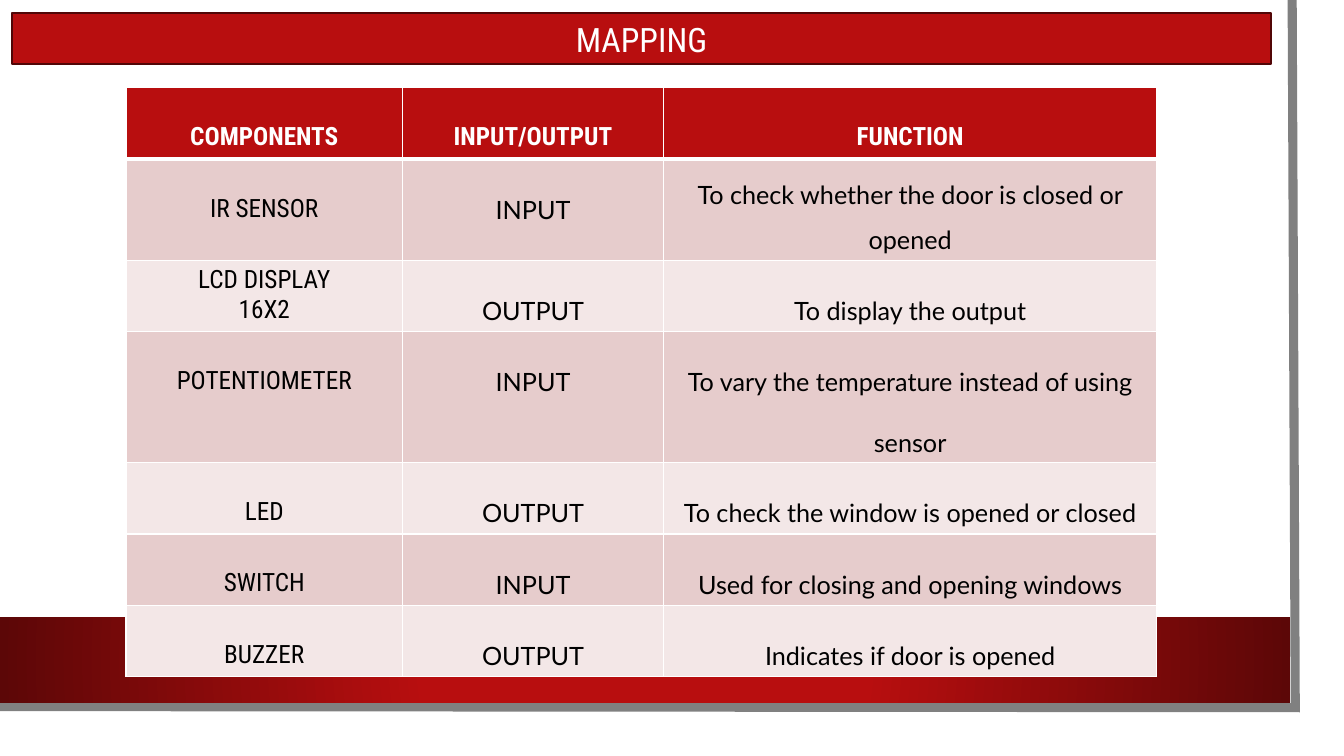
from lxml import etree
from pptx import Presentation, util as u
from pptx.dml.color import RGBColor
from pptx.enum import shapes, text
from pptx.oxml import ns, parse_xml

COLORS = {
    "red": "B80E0F",
    "dark_red": "5C0707",
    "outline": "510607",
    "edge": "808080",
    "rose": "E6CCCC",
    "pale": "F3E7E7",
    "white": "FFFFFF",
    "black": "000000",
}
HEADING_FONT = "Roboto Condensed"
BODY_FONT = "Lato"
NAMESPACE = ns.nsdecls("a")


def add_rectangle(slide, left, top, width, height, fill=None):
    shape = slide.shapes.add_shape(
        shapes.MSO_SHAPE.RECTANGLE, u.Pt(left), u.Pt(top), u.Pt(width), u.Pt(height)
    )
    shape.shadow.inherit = False
    shape.line.fill.background()
    if fill:
        shape.fill.solid()
        shape.fill.fore_color.rgb = RGBColor.from_string(COLORS[fill])
    return shape


def format_paragraph(paragraph, content, color, **font_values):
    paragraph.text = content
    paragraph.alignment = text.PP_ALIGN.CENTER
    for name, value in font_values.items():
        setattr(paragraph.font, name, value)
    paragraph.font.color.rgb = RGBColor.from_string(COLORS[color])


presentation = Presentation()
presentation.slide_width = u.Pt(960)
presentation.slide_height = u.Pt(540)
slide = presentation.slides.add_slide(presentation.slide_layouts[6])

add_rectangle(slide, 0, 0, 943, 523.5, "white")

builder = slide.shapes.build_freeform(u.Pt(923), u.Pt(0))
builder.add_line_segments(
    [(u.Pt(925.2), u.Pt(505.5)), (u.Pt(-2.2), u.Pt(504.7))], close=False
)
paper_edge = builder.convert_to_shape()
paper_edge.shadow.inherit = False
paper_edge.fill.background()
paper_edge.line.width = u.Pt(6.5)
paper_edge.line.color.rgb = RGBColor.from_string(COLORS["edge"])
edge_line = paper_edge.element.spPr.find(ns.qn("a:ln"))
etree.SubElement(edge_line, ns.qn("a:miter"), lim="800000")

band = add_rectangle(slide, 0, 440.9, 921.6, 61.2)
band.fill.gradient()
for stop, (position, color) in zip(
    band.fill.gradient_stops, [(0.34, "red"), (1, "dark_red")]
):
    stop.position = position
    stop.color.rgb = RGBColor.from_string(COLORS[color])
gradient = band.element.spPr.find(ns.qn("a:gradFill"))
gradient.replace(gradient.find(ns.qn("a:lin")), parse_xml(
    f'<a:path {NAMESPACE} path="circle">'
    '<a:fillToRect l="50000" t="50000" r="50000" b="50000"/></a:path>'
))

title = add_rectangle(slide, 8.6, 9.4, 899.3, 36.4, "red")
title.line.width = u.Pt(1.5)
title.line.color.rgb = RGBColor.from_string(COLORS["outline"])
title.text_frame.vertical_anchor = text.MSO_ANCHOR.MIDDLE
format_paragraph(
    title.text_frame.paragraphs[0], "MAPPING", "white", name=HEADING_FONT, size=u.Pt(24)
)

rows = [
    ("COMPONENTS", "INPUT/OUTPUT", "FUNCTION"),
    ("IR SENSOR", "INPUT", "To check whether the door is closed or opened"),
    ("LCD DISPLAY\n16X2", "OUTPUT", "To display the output"),
    ("POTENTIOMETER", "INPUT", "To vary the temperature instead of using sensor"),
    ("LED", "OUTPUT", "To check the window is opened or closed"),
    ("SWITCH", "INPUT", "Used for closing and opening windows"),
    ("BUZZER", "OUTPUT", "Indicates if door is opened"),
]
column_widths = [197.6, 186.4, 352.4]
row_height = 51
line_spacings = {(1, 2): 1.5, (2, 0): 1}

table = slide.shapes.add_table(
    len(rows), len(column_widths), u.Pt(90), u.Pt(62.8),
    u.Pt(sum(column_widths)), u.Pt(row_height * len(rows))
).table
for column, width in zip(table.columns, column_widths):
    column.width = u.Pt(width)

for row_index, row in enumerate(rows):
    table.rows[row_index].height = u.Pt(row_height)
    header = row_index == 0
    fill = "red" if header else "rose" if row_index % 2 else "pale"
    border_widths = {
        "lnL": 1,
        "lnR": 1,
        "lnT": 3 if row_index == 1 else 1,
        "lnB": 3 if header else 1,
    }
    for column_index, content in enumerate(row):
        cell = table.cell(row_index, column_index)
        cell.fill.solid()
        cell.fill.fore_color.rgb = RGBColor.from_string(COLORS[fill])
        cell.text = content
        for paragraph in cell.text_frame.paragraphs:
            format_paragraph(
                paragraph,
                paragraph.text,
                "white" if header else "black",
                name=HEADING_FONT if header or column_index == 0 else BODY_FONT,
                size=u.Pt(18),
                bold=header,
            )
            paragraph.line_spacing = float(line_spacings.get((row_index, column_index), 2))
        cell_properties = cell._tc.get_or_add_tcPr()
        for position, (side, width) in enumerate(border_widths.items()):
            cell_properties.insert(position, parse_xml(
                f'<a:{side} {NAMESPACE} w="{u.Pt(width)}"><a:solidFill>'
                f'<a:srgbClr val="{COLORS["white"]}"/></a:solidFill></a:{side}>'
            ))

presentation.save("out.pptx")
